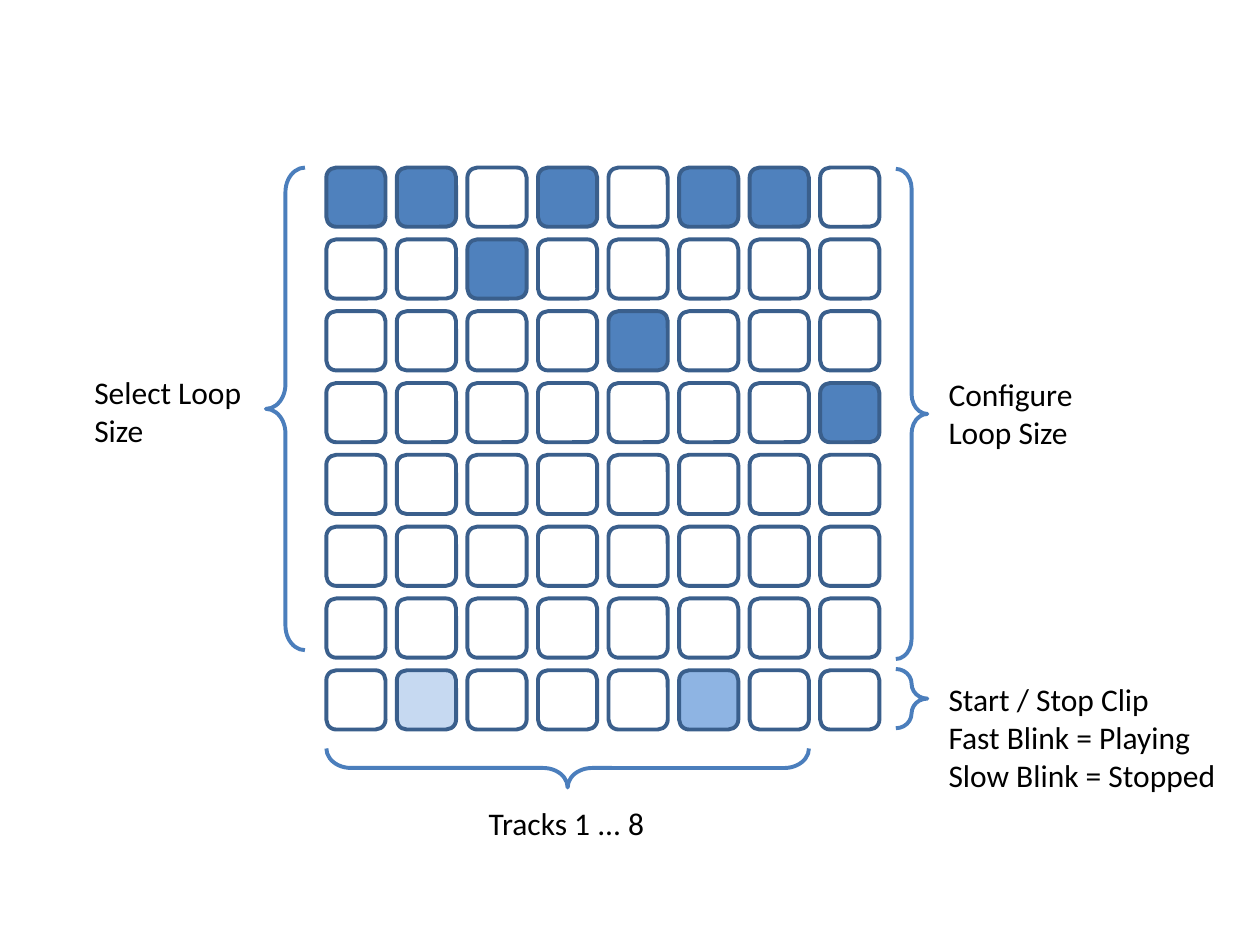
"""Build a slide that explains the button grid of a clip looper."""
from dataclasses import dataclass

import pptx
import pptx.dml.color
import pptx.enum.shapes
import pptx.enum.text
import pptx.util

Inches = pptx.util.Inches
RGBColor = pptx.dml.color.RGBColor
MSO_SHAPE = pptx.enum.shapes.MSO_SHAPE

BLACK = RGBColor(0x00, 0x00, 0x00)
WHITE = RGBColor(0xFF, 0xFF, 0xFF)
BLUE = RGBColor(0x4F, 0x81, 0xBD)
PALE = RGBColor(0xC6, 0xD9, 0xF1)
LIGHT = RGBColor(0x8E, 0xB4, 0xE3)
BUTTON_LINE = RGBColor(0x3A, 0x5F, 0x8C)
BRACE_LINE = RGBColor(0x4B, 0x7E, 0xBC)

LINE_WIDTH = pptx.util.Pt(2.25)
FONT = {"name": "Calibri", "size": pptx.util.Pt(18)}
FRAME = {
    "word_wrap": False,
    "auto_size": pptx.enum.text.MSO_AUTO_SIZE.SHAPE_TO_FIT_TEXT,
}

GRID_LEFT, GRID_TOP = 2.59, 1.33
COLUMN_STEP, ROW_STEP = 0.56, 0.57
BUTTON_SIZE = 0.47
FILLS = {"#": BLUE, "-": PALE, "+": LIGHT, ".": WHITE}
ROWS = (
    "##.#.##.",
    "..#.....",
    "....#...",
    ".......#",
    "........",
    "........",
    "........",
    ".-...+..",
)


@dataclass
class Box:
    left: float
    top: float
    width: float
    height: float

    def lengths(self) -> tuple:
        return tuple(map(Inches, (self.left, self.top, self.width, self.height)))


@dataclass
class Brace:
    box: Box
    rotation: int = 0


@dataclass
class Label:
    box: Box
    lines: tuple


BRACES = (
    Brace(Box(7.11, 1.34, 0.25, 3.89)),
    Brace(Box(4.35, 4.18, 0.31, 3.83), 90),
    Brace(Box(2.11, 1.33, 0.31, 3.83), 180),
    Brace(Box(7.11, 5.31, 0.25, 0.47)),
)
LABELS = (
    Label(Box(7.43, 2.93, 1.2, 0.71), ("Configure", "Loop Size")),
    Label(Box(0.65, 2.91, 1.38, 0.71), ("Select Loop", "Size")),
    Label(Box(3.78, 6.33, 1.45, 0.4), ("Tracks 1 ... 8",)),
    Label(
        Box(7.43, 5.35, 2.34, 1.01),
        ("Start / Stop Clip", "Fast Blink = Playing", "Slow Blink = Stopped"),
    ),
)


def apply_format(target: object, values: dict) -> None:
    for name, value in values.items():
        setattr(target, name, value)


def add_outlined(shapes, kind: MSO_SHAPE, box: Box, color: RGBColor):
    sp = shapes.add_shape(kind, *box.lengths())
    sp.shadow.inherit = False
    sp.line.color.rgb = color
    sp.line.width = LINE_WIDTH
    return sp


def add_grid(shapes) -> None:
    group = shapes.add_group_shape()
    for row, marks in enumerate(ROWS):
        for column, mark in enumerate(marks):
            box = Box(
                GRID_LEFT + column * COLUMN_STEP,
                GRID_TOP + row * ROW_STEP,
                BUTTON_SIZE,
                BUTTON_SIZE,
            )
            sp = add_outlined(
                group.shapes, MSO_SHAPE.ROUNDED_RECTANGLE, box, BUTTON_LINE
            )
            sp.fill.solid()
            sp.fill.fore_color.rgb = FILLS[mark]


def add_brace(shapes, brace: Brace) -> None:
    sp = add_outlined(shapes, MSO_SHAPE.RIGHT_BRACE, brace.box, BRACE_LINE)
    sp.fill.background()
    sp.adjustments[0] = 0.63
    sp.rotation = brace.rotation


def add_label(shapes, label: Label) -> None:
    tf = shapes.add_textbox(*label.box.lengths()).text_frame
    apply_format(tf, FRAME)
    tf.text = "\n".join(label.lines)
    for p in tf.paragraphs:
        for r in p.runs:
            apply_format(r.font, FONT)
            r.font.color.rgb = BLACK


def main() -> None:
    prs = pptx.Presentation()
    prs.slide_width, prs.slide_height = Inches(10), Inches(7.5)
    s = prs.slides.add_slide(prs.slide_layouts[6])
    add_grid(s.shapes)
    for brace in BRACES:
        add_brace(s.shapes, brace)
    for label in LABELS:
        add_label(s.shapes, label)
    prs.save("out.pptx")


if __name__ == "__main__":
    main()
